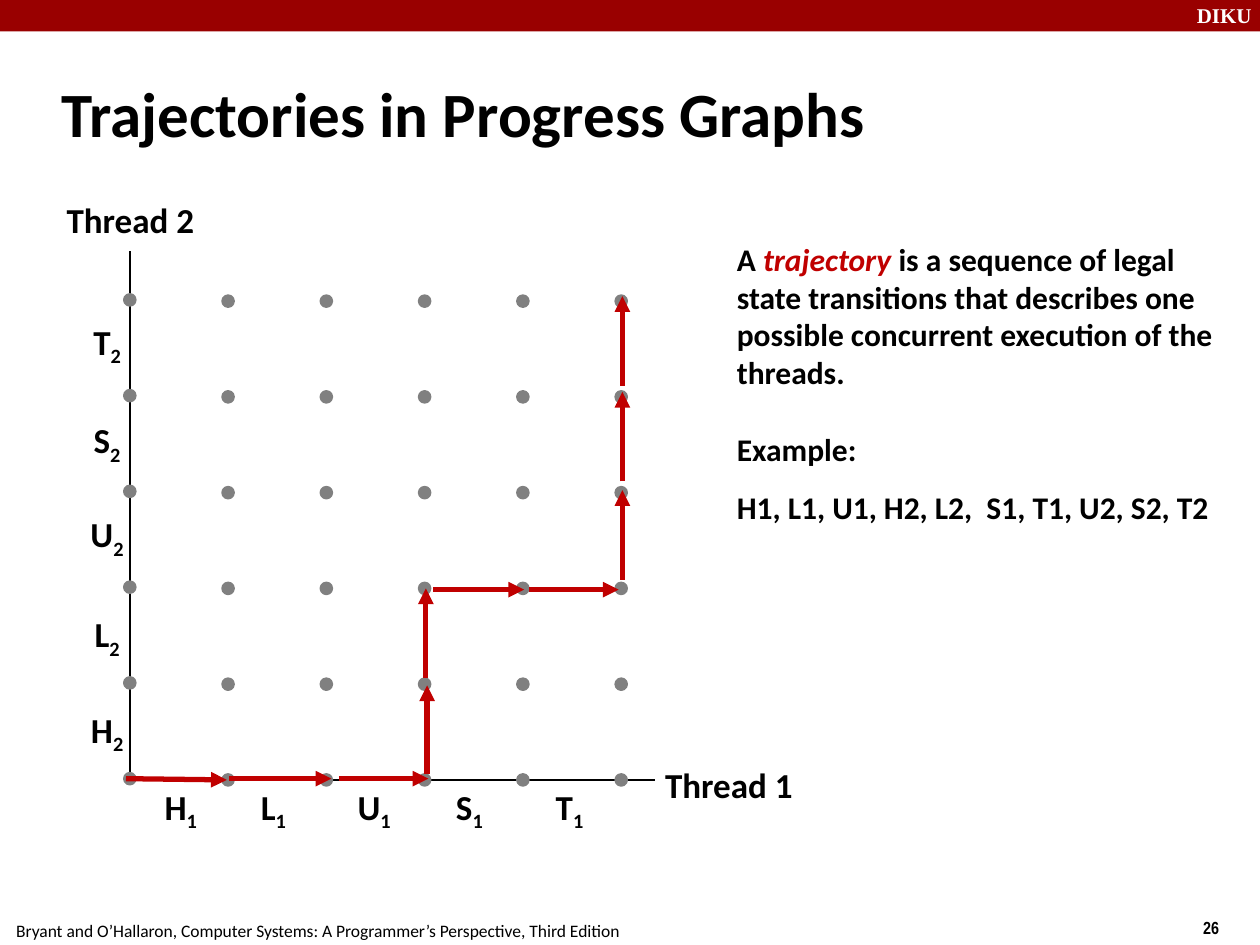
from typing import NamedTuple

from lxml import etree
from pptx import Presentation
from pptx import util as u
from pptx.dml.color import RGBColor
from pptx.enum import shapes, text
from pptx.oxml import ns

BLACK, WHITE, GREY = "000000", "FFFFFF", "808080"
BANNER_RED, PATH_RED = "990000", "C00000"
ORIGIN_X, ORIGIN_Y = 1.03, 6.19
STEP_X, STEP_Y = 0.78, 0.76
DOT_COUNT, DOT_SIZE = 6, 0.08


class Run(NamedTuple):
    text: str
    format: dict = {}
    color: str = BLACK
    baseline: int = 0


class Operation(NamedTuple):
    """A thread step: its letter, label width, left on axis 1 and top on axis 2."""
    letter: str
    width: float
    left: float
    top: float


class Segment(NamedTuple):
    x1: float
    y1: float
    x2: float
    y2: float


OPERATIONS = [
    Operation("H", 0.45, 1.21, 5.57),
    Operation("L", 0.40, 1.97, 4.81),
    Operation("U", 0.46, 2.74, 4.02),
    Operation("S", 0.41, 3.52, 3.27),
    Operation("T", 0.42, 4.31, 2.49),
]

AXES = [
    Segment(ORIGIN_X, ORIGIN_Y, 5.2, ORIGIN_Y),
    Segment(ORIGIN_X, ORIGIN_Y, ORIGIN_X, 1.99),
]

TRAJECTORY = [
    Segment(1.00, 6.18, 1.80, 6.19),
    Segment(1.82, 6.18, 2.63, 6.18),
    Segment(2.69, 6.18, 3.40, 6.18),
    Segment(3.39, 6.14, 3.39, 5.44),
    Segment(3.38, 5.38, 3.38, 4.67),
    Segment(3.44, 4.68, 4.16, 4.68),
    Segment(4.20, 4.68, 4.91, 4.68),
    Segment(4.94, 4.60, 4.94, 3.89),
    Segment(4.94, 3.82, 4.94, 3.11),
    Segment(4.94, 3.06, 4.94, 2.35),
]


def rgb(color: str) -> RGBColor:
    return RGBColor.from_string(color)


def add_text(slide, box: tuple, paragraphs: list[list[Run]], size: float,
             font: str = "Calibri", bold: bool = True, wrap: bool = True,
             align=text.PP_ALIGN.LEFT, anchor=text.MSO_ANCHOR.MIDDLE,
             gaps: tuple = (0,), side_inset: float = 0.1) -> None:
    """Add a text box; gaps holds the space before each paragraph in points."""
    frame = slide.shapes.add_textbox(*map(u.Inches, box)).text_frame
    frame.word_wrap = wrap
    frame.vertical_anchor = anchor
    frame.margin_left = frame.margin_right = u.Inches(side_inset)
    for index, (runs, gap) in enumerate(zip(paragraphs, gaps)):
        paragraph = frame.add_paragraph() if index else frame.paragraphs[0]
        paragraph.alignment = align
        if gap:
            paragraph.space_before = u.Pt(gap)
        for item in runs:
            run = paragraph.add_run()
            run.text = item.text
            values = {"name": font, "size": u.Pt(size), "bold": bold} | item.format
            for name, value in values.items():
                setattr(run.font, name, value)
            run.font.color.rgb = rgb(item.color)
            if item.baseline:
                run.font._element.set("baseline", str(item.baseline * 1000))


def add_filled(slide, kind, box: tuple, color: str, line_width: float = 0) -> None:
    shape = slide.shapes.add_shape(kind, *map(u.Inches, box))
    shape.shadow.inherit = False
    shape.fill.solid()
    shape.fill.fore_color.rgb = rgb(color)
    if line_width:
        shape.line.color.rgb = rgb(color)
        shape.line.width = u.Pt(line_width)
    else:
        shape.line.fill.background()


def add_line(slide, segment: Segment, color: str, width: float,
             arrow: bool = False) -> None:
    connector = slide.shapes.add_connector(
        shapes.MSO_CONNECTOR.STRAIGHT, *map(u.Inches, segment))
    connector.line.color.rgb = rgb(color)
    connector.line.width = u.Pt(width)
    if arrow:
        etree.SubElement(connector.line._get_or_add_ln(), ns.qn("a:tailEnd"),
                         type="triangle")
    etree.SubElement(connector._element.spPr, ns.qn("a:effectLst"))


def add_frame(slide) -> None:
    """Add the banner, footer, page number and title."""
    top = text.MSO_ANCHOR.TOP
    add_filled(slide, shapes.MSO_SHAPE.RECTANGLE, (0, 0, 10, 0.25), BANNER_RED)
    add_text(slide, (9.4, -0.03, 0.67, 0.3), [[Run("DIKU", color=WHITE)]], 12,
             font="Times New Roman", anchor=top)
    add_text(slide, (9.45, 7.23, 0.75, 0.29), [[Run("26")]], 10,
             font="Arial Narrow", anchor=top)
    footer = ("Bryant and O’Hallaron, Computer Systems: "
              "A Programmer’s Perspective, Third Edition")
    add_text(slide, (0.03, 7.25, 4.99, 0.26), [[Run(footer)]], 10,
             bold=False, wrap=False, anchor=top)
    add_text(slide, (0.39, 0.48, 8.3, 0.83),
             [[Run("Trajectories in Progress Graphs")]], 36)


def add_explanation(slide) -> None:
    definition = [
        Run("A "),
        Run("trajectory", {"italic": True}, PATH_RED),
        Run(" is a sequence of legal state transitions that describes one "
            "possible concurrent execution of the threads."),
    ]
    example = [Run("H1, L1, U1, H2, L2,  S1, T1, U2, S2, T2")]
    add_text(slide, (5.75, 1.86, 4.17, 2.36),
             [definition, [Run("Example:")], example], 18, gaps=(0, 22, 12))


def add_axis_label(slide, box: tuple, runs: list[Run]) -> None:
    add_text(slide, box, [runs], 20, wrap=False, align=text.PP_ALIGN.CENTER,
             side_inset=0)


def add_graph(slide) -> None:
    for axis in AXES:
        add_line(slide, axis, BLACK, 1)
    for operation in OPERATIONS:
        places = [(operation.left, 6.18), (0.85 - operation.width / 2, operation.top)]
        for thread, place in enumerate(places, start=1):
            add_axis_label(slide, (*place, operation.width, 0.48),
                           [Run(operation.letter), Run(str(thread), baseline=-25)])
    add_axis_label(slide, (5.18, 6.01, 1.21, 0.43), [Run("Thread 1")])
    add_axis_label(slide, (0.43, 1.53, 1.21, 0.43), [Run("Thread 2")])
    for column in range(DOT_COUNT):
        for row in range(DOT_COUNT):
            left = ORIGIN_X + column * STEP_X - DOT_SIZE / 2
            top = ORIGIN_Y - row * STEP_Y - DOT_SIZE / 2
            if column == 0:
                top -= 0.01
            add_filled(slide, shapes.MSO_SHAPE.OVAL,
                       (left, top, DOT_SIZE, DOT_SIZE), GREY, 2)
    for move in TRAJECTORY:
        add_line(slide, move, PATH_RED, 3, arrow=True)


def main() -> None:
    presentation = Presentation()
    presentation.slide_width = u.Inches(10)
    presentation.slide_height = u.Inches(7.5)
    slide = presentation.slides.add_slide(presentation.slide_layouts[6])
    add_frame(slide)
    add_explanation(slide)
    add_graph(slide)
    presentation.save("out.pptx")


if __name__ == "__main__":
    main()
